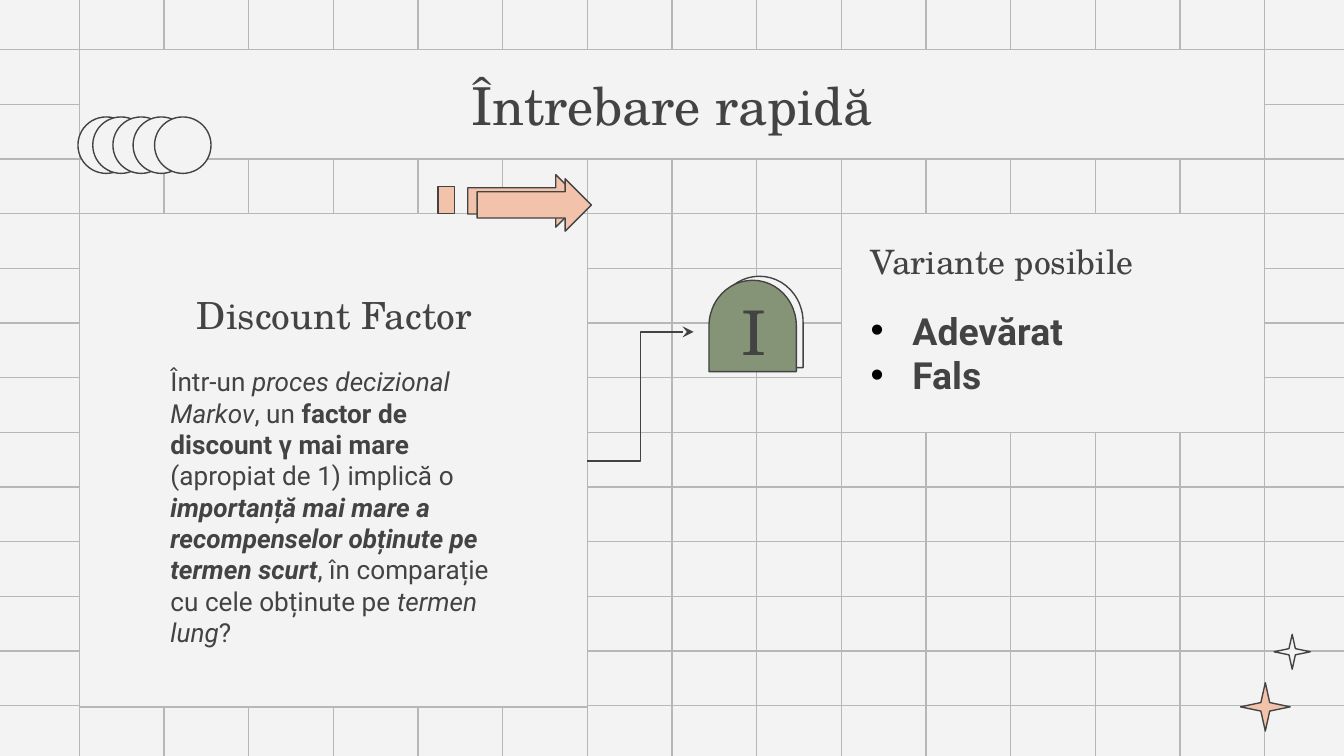
import pptx
import pptx.dml.color
import pptx.enum.shapes
import pptx.enum.text
import pptx.oxml
import pptx.oxml.ns
import pptx.util

Inches = pptx.util.Inches
Pt = pptx.util.Pt
Shape = pptx.enum.shapes.MSO_SHAPE
Connector = pptx.enum.shapes.MSO_CONNECTOR
Align = pptx.enum.text.PP_ALIGN
Anchor = pptx.enum.text.MSO_ANCHOR

COLORS = {
    name: pptx.dml.color.RGBColor.from_string(value)
    for name, value in {
        "paper": "F3F3F3", "grid": "B7B7B7", "ink": "434343",
        "peach": "F2C2AB", "green": "859477",
    }.items()
}
SERIF, SANS = "TeX Gyre Schola", "Roboto"
NAMESPACE = pptx.oxml.ns.nsdecls("a")

deck = pptx.Presentation()
deck.slide_width, deck.slide_height = Inches(10), Inches(10 * 9 / 16)
page = deck.slides.add_slide(deck.slide_layouts[5])
page.background.fill.solid()
page.background.fill.fore_color.rgb = COLORS["paper"]


def paint(item, line, fill=None):
    """Give a shape or connector its outline and fill, without a shadow."""
    item.line.color.rgb = COLORS[line]
    item.line.width = Pt(0.75)
    if fill:
        item.fill.solid()
        item.fill.fore_color.rgb = COLORS[fill]
        item.shadow.inherit = False
    else:
        item._element.spPr.append(pptx.oxml.parse_xml(f"<a:effectLst {NAMESPACE}/>"))


def write(box, lines, size, font, anchor, align=Align.LEFT):
    """Fill a box with paragraphs, each a list of (text, style) spans; style holds b and/or i."""
    frame = box.text_frame
    frame.word_wrap = True
    frame.auto_size = pptx.enum.text.MSO_AUTO_SIZE.NONE
    frame.vertical_anchor = anchor
    frame.margin_left = frame.margin_right = Inches(0.1)
    frame.margin_top = frame.margin_bottom = Inches(0.1)
    for index, spans in enumerate(lines):
        para = frame.add_paragraph() if index else frame.paragraphs[0]
        para.alignment = align
        for text, style in spans:
            span = para.add_run()
            span.text = text
            span.font.size = Pt(size)
            span.font.name = font
            span.font.color.rgb = COLORS["ink"]
            span.font.bold = "b" in style
            span.font.italic = "i" in style


# Background grid, in four quarters
columns = [0.59 + 0.63 * i for i in range(15)]
rows = [0.37 + (5.25 - 0.37) / 12 * i for i in range(13)]
grid_lines = [(x, top, x, bottom) for x in columns for top, bottom in ((-0.03, 2.81), (2.81, 5.66))]
grid_lines += [(left, y, right, y) for y in rows for left, right in ((-0.04, 5), (5, 10.04))]
for ends in grid_lines:
    paint(page.shapes.add_connector(Connector.STRAIGHT, *map(Inches, ends)), "grid")

# Stars
for place, fill in (((9.23, 5.08, 0.37, 0.36), "peach"), ((9.48, 4.72, 0.27, 0.26), "paper")):
    star = page.shapes.add_shape(Shape.STAR_4_POINT, *map(Inches, place))
    star.adjustments[0] = 0.125
    paint(star, "ink", fill)

# Panels and title
for place in ((0.59, 1.59, 3.78, 3.67), (6.26, 1.59, 3.15, 1.63)):
    paint(page.shapes.add_shape(Shape.RECTANGLE, *map(Inches, place)), "grid", "paper")

title = page.shapes.title
page.shapes._spTree.append(title._element)  # in front of the grid
title.left, title.top, title.width, title.height = map(Inches, (0.59, 0.37, 8.82, 0.81))
title.fill.solid()
title.fill.fore_color.rgb = COLORS["paper"]
title.line.color.rgb = COLORS["grid"]
title.line.width = Pt(0.75)
write(title, [[("Întrebare rapidă", "")]], 28, SERIF, Anchor.MIDDLE, Align.CENTER)

# Question
box = page.shapes.add_textbox(*map(Inches, (1.17, 2.16, 2.64, 0.45)))
write(box, [[("Discount Factor", "")]], 20, SERIF, Anchor.BOTTOM, Align.CENTER)
question = [
    ("Într-un ", ""),
    ("proces decizional Markov", "i"),
    (", un ", ""),
    ("factor de discount γ mai mare ", "b"),
    ("(apropiat de 1) implică o ", ""),
    ("importanță mai mare a recompenselor obținute pe termen scurt", "bi"),
    (", în comparație cu cele obținute pe ", ""),
    ("termen lung", "i"),
    ("?", ""),
]
box = page.shapes.add_textbox(*map(Inches, (1.17, 2.62, 2.64, 2.08)))
write(box, [question], 14, SANS, Anchor.TOP)

# Answers
box = page.shapes.add_textbox(*map(Inches, (6.38, 1.74, 2.85, 0.45)))
write(box, [[("Variante posibile", "")]], 18, SERIF, Anchor.BOTTOM)
answers = page.shapes.add_textbox(*map(Inches, (6.38, 2.19, 2.85, 0.9)))
write(answers, [[("Adevărat", "b")], [("Fals", "b")]], 20, SANS, Anchor.TOP)
for para in answers.text_frame.paragraphs:
    properties = para._p.get_or_add_pPr()
    properties.set("marL", str(Inches(0.31)))
    properties.set("indent", str(-Inches(0.31)))
    for bullet in ('<a:buClr {}><a:srgbClr val="000000"/></a:buClr>',
                   '<a:buFont {} typeface="Arial"/>', '<a:buChar {} char="•"/>'):
        properties.append(pptx.oxml.parse_xml(bullet.format(NAMESPACE)))

# Elbow arrow from the question to the badge
elbow = page.shapes.add_connector(Connector.ELBOW, *map(Inches, (4.37, 3.43, 5.16, 2.47)))
paint(elbow, "ink")
elbow.line._get_or_add_ln().append(pptx.oxml.parse_xml(f'<a:tailEnd {NAMESPACE} type="stealth"/>'))

# Badge arches, double arrow and overlapping rings
ornaments = [
    (Shape.FLOWCHART_DELAY, (5.31, 2.07, 0.68, 0.65), 270, "paper"),
    (Shape.FLOWCHART_DELAY, (5.26, 2.1, 0.68, 0.65), 270, "green"),
    (Shape.UP_ARROW, (3.71, 1.07, 0.39, 0.85), 90, "peach"),
    (Shape.RECTANGLE, (3.26, 1.39, 0.12, 0.2), 0, "peach"),
    (Shape.UP_ARROW, (3.78, 1.1, 0.39, 0.85), 90, "peach"),
]
ornaments += [(Shape.OVAL, (x, 0.87, 0.42, 0.42), 0, "paper") for x in (0.58, 0.69, 0.84, 0.99, 1.15)]
for kind, place, rotation, fill in ornaments:
    ornament = page.shapes.add_shape(kind, *map(Inches, place))
    ornament.rotation = rotation
    paint(ornament, "ink", fill)

box = page.shapes.add_textbox(*map(Inches, (5.16, 2.24, 0.9, 0.45)))
write(box, [[("I", "")]], 33, SERIF, Anchor.MIDDLE, Align.CENTER)

deck.save("out.pptx")
